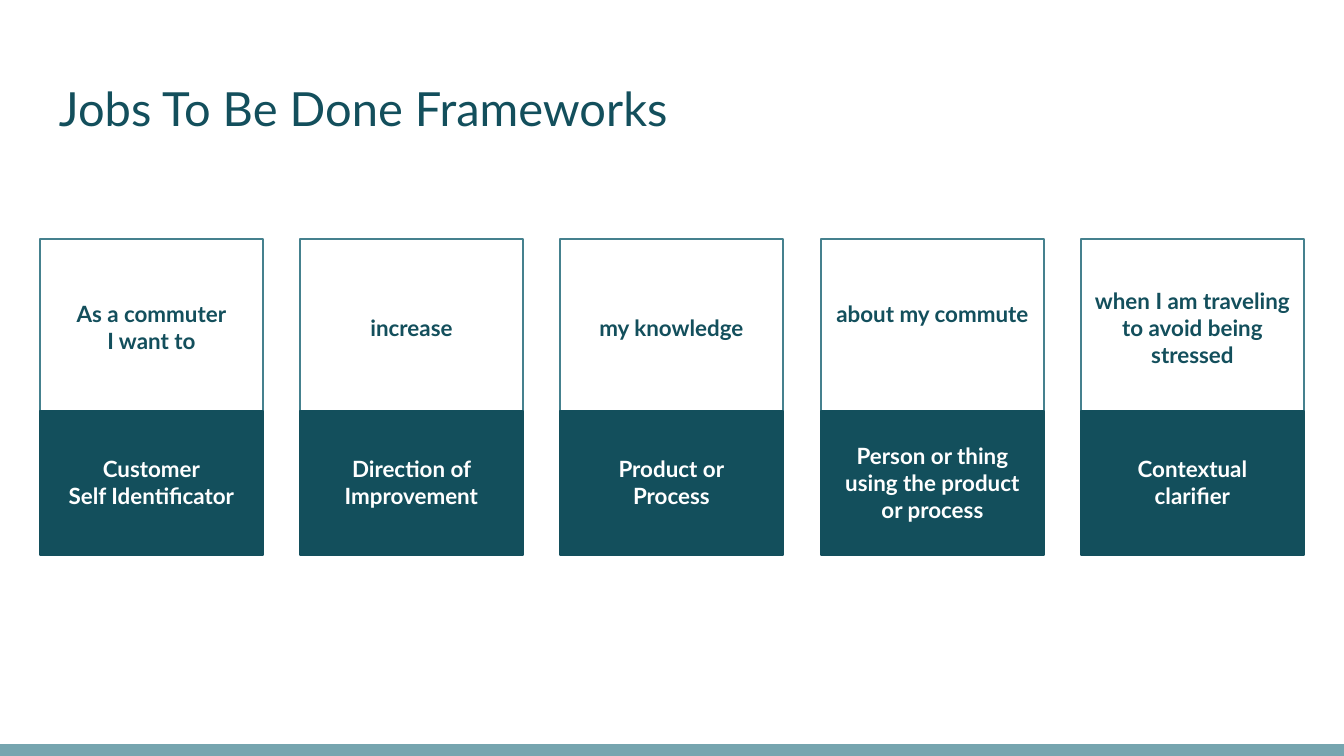
"""Build the Jobs To Be Done Frameworks slide."""
import pptx
import pptx.dml.color
import pptx.enum.shapes
import pptx.enum.text
import pptx.oxml
import pptx.util

COLOURS = {"dark": "134F5C", "frame": "45818E", "footer": "76A5AF", "white": "FFFFFF"}
ALIGN = pptx.enum.text.PP_ALIGN
COLUMNS = [
    (["As a commuter", "I want to"], 2, ["Customer", "Self Identificator"], 2),
    (["increase"], 1, ["Direction of Improvement"], 2),
    (["my knowledge"], 1, ["Product or", "Process"], 2),
    (["about my commute"], 2, ["Person or thing using the product or process"], 3),
    (["when I am traveling to avoid being stressed"], 3, ["Contextual", "clarifier"], 2),
]


def px(length):
    return pptx.util.Emu(round(length * 914400 / 134.4))


def colour(name):
    return pptx.dml.color.RGBColor.from_string(COLOURS[name])


def assign(target, values):
    for name, value in values.items():
        setattr(target, name, value)


class SlideBuilder:
    font = "Lato"
    inset = 13
    line_height = 27

    def __init__(self, page):
        self.page = page

    def fill_text(self, shape, paragraphs, size, ink, bold, align):
        frame = shape.text_frame
        margins = dict.fromkeys(
            ("margin_left", "margin_right", "margin_top", "margin_bottom"), px(self.inset))
        assign(frame, {**margins, "word_wrap": True,
                       "auto_size": pptx.enum.text.MSO_AUTO_SIZE.NONE,
                       "vertical_anchor": pptx.enum.text.MSO_ANCHOR.TOP})
        for index, text in enumerate(paragraphs):
            para = frame.paragraphs[0] if index == 0 else frame.add_paragraph()
            para.alignment = align
            span = para.add_run()
            span.text = text
            assign(span.font, {"name": self.font, "size": pptx.util.Pt(size), "bold": bold})
            span.font.color.rgb = colour(ink)

    def title(self, text, left, top, width, height):
        box = self.page.shapes.title
        assign(box, {"left": px(left), "top": px(top), "width": px(width), "height": px(height)})
        self.fill_text(box, [text], 25.2, "dark", False, ALIGN.LEFT)

    def rectangle(self, left, top, width, height, line, fill=None):
        box = self.page.shapes.add_shape(
            pptx.enum.shapes.MSO_SHAPE.RECTANGLE, px(left), px(top), px(width), px(height))
        box.shadow.inherit = False
        box.line.color.rgb = colour(line)
        box.line.width = pptx.util.Pt(0.75)
        if fill:
            box.fill.solid()
            box.fill.fore_color.rgb = colour(fill)
        else:
            box.fill.background()

    def label(self, paragraphs, lines, left, middle, width, ink):
        height = self.line_height * (lines + 1)
        box = self.page.shapes.add_textbox(
            px(left), px(middle - height / 2), px(width), px(height))
        self.fill_text(box, paragraphs, 12, ink, True, ALIGN.CENTER)

    def rule(self, left, right, y, ink, weight):
        line = self.page.shapes.add_connector(
            pptx.enum.shapes.MSO_CONNECTOR.STRAIGHT, px(left), px(y), px(right), px(y))
        line.line.color.rgb = colour(ink)
        line.line.width = pptx.util.Pt(weight)
        line._element.spPr.append(pptx.oxml.parse_xml(
            '<a:effectLst xmlns:a="http://schemas.openxmlformats.org/drawingml/2006/main"/>'))


def main():
    deck = pptx.Presentation()
    assign(deck, {"slide_width": px(1344), "slide_height": px(756)})
    builder = SlideBuilder(deck.slides.add_slide(deck.slide_layouts[5]))
    builder.title("Jobs To Be Done Frameworks", 46, 66, 1253, 85)
    first, last, width = 40, 1081, 223
    step = (last - first) / (len(COLUMNS) - 1)
    for index, (example, example_lines, part, part_lines) in enumerate(COLUMNS):
        left = round(first + index * step)
        builder.rectangle(left, 239, width, 240, "frame")
        builder.rectangle(left, 411, width, 144, "dark", "dark")
        builder.label(part, part_lines, left, 483, width, "white")
        builder.label(example, example_lines, left, 328, width, "dark")
    builder.rule(0, 1344, 750, "footer", 6)
    deck.save("out.pptx")


if __name__ == "__main__":
    main()
